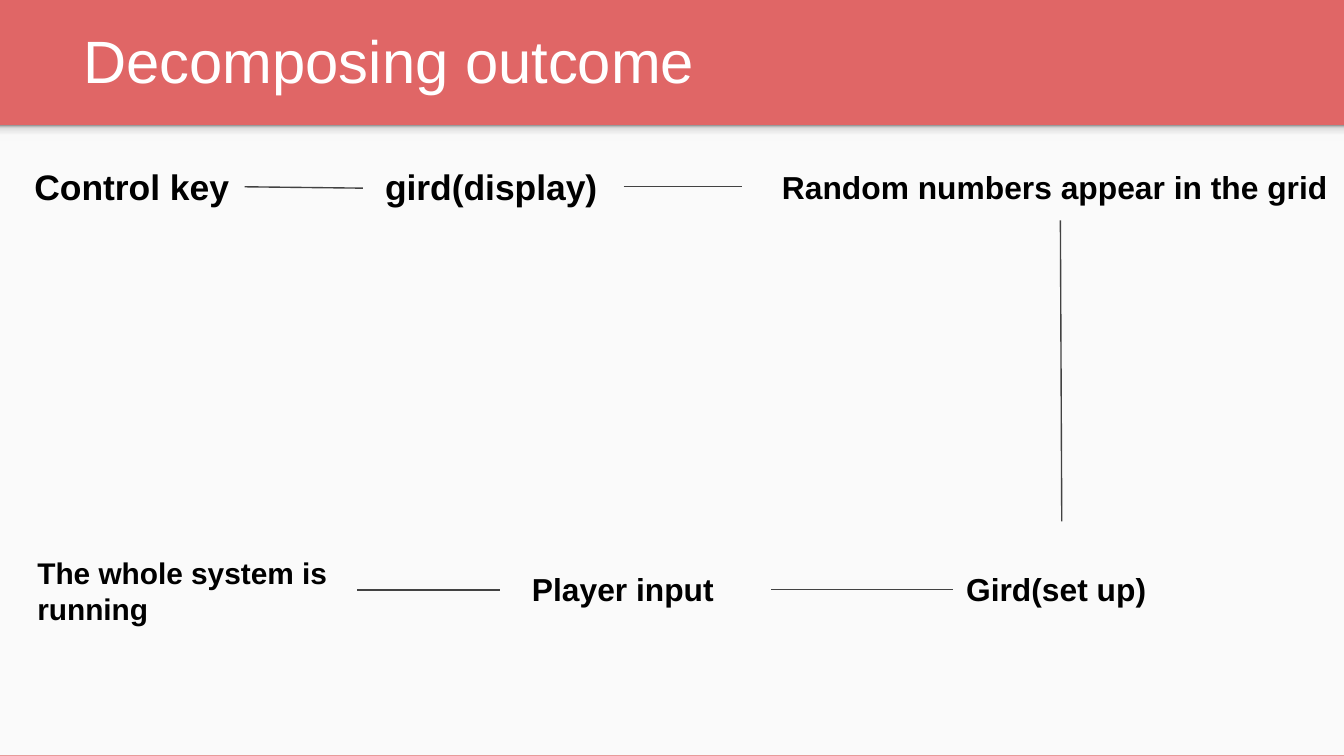
from dataclasses import dataclass

from lxml.etree import SubElement
from pptx import Presentation
from pptx.dml.color import RGBColor
from pptx.enum.shapes import MSO_CONNECTOR, MSO_SHAPE
from pptx.enum.text import MSO_ANCHOR, MSO_AUTO_SIZE, PP_ALIGN
from pptx.oxml import parse_xml
from pptx.oxml.ns import nsdecls, qn
from pptx.util import Inches, Pt


@dataclass(frozen=True)
class Theme:
    """Colours, font and type sizes of the slide."""
    banner: str = "E06666"
    panel: str = "FAFAFA"
    title: str = "FFFFFF"
    text: str = "000000"
    line: str = "424242"
    shade: tuple = ((0, "F9F9F9"), (36, "F9F9F9"), (80, "DEDEDE"), (100, "999999"))
    font: str = "Arial"
    title_size: int = 32
    large: int = 19
    medium: int = 17
    small: int = 16
    line_width: float = 0.75


THEME = Theme()
LEFT, CENTER = PP_ALIGN.LEFT, PP_ALIGN.CENTER
RIGHT_SIDE, BOTTOM_SIDE, LEFT_SIDE = 3, 2, 1

STEPS = {
    "control": ("Control key", (0.14, 1.13, 1.68, 0.52), THEME.large, CENTER),
    "display": ("gird(display)", (2.51, 1.13, 2.29, 0.52), THEME.large, CENTER),
    "random": ("Random numbers appear in the grid", (5.72, 1.15, 4.34, 0.49), THEME.medium, LEFT),
    "setup": ("Gird(set up)", (7.09, 4.14, 3.58, 0.49), THEME.medium, LEFT),
    "input": ("Player input", (3.86, 4.14, 1.88, 0.49), THEME.medium, LEFT),
    "running": ("The whole system is running", (0.18, 4.03, 2.38, 0.74), THEME.small, LEFT),
}

LINKS = (
    ((1.82, 1.39), (2.7, 1.4), ("control", RIGHT_SIDE), None),
    ((4.64, 1.39), (5.52, 1.39), None, None),
    ((7.89, 1.64), (7.9, 3.88), ("random", BOTTOM_SIDE), None),
    ((7.09, 4.39), (5.74, 4.39), ("setup", LEFT_SIDE), ("input", RIGHT_SIDE)),
    ((3.72, 4.39), (2.66, 4.39), None, None),
)


def apply(target, values):
    """Set each named attribute of the target."""
    for name, value in values.items():
        setattr(target, name, value)


def write(shape, text, size, color, bold, align, anchor):
    """Put one formatted paragraph into a shape."""
    frame = shape.text_frame
    margins = dict.fromkeys(
        ("margin_left", "margin_top", "margin_right", "margin_bottom"), Inches(0.1))
    apply(frame, {**margins, "word_wrap": True, "vertical_anchor": anchor})
    para = frame.paragraphs[0]
    para.alignment = align
    span = para.add_run()
    span.text = text
    apply(span.font, {"name": THEME.font, "size": Pt(size), "bold": bold})
    span.font.color.rgb = RGBColor.from_string(color)
    return frame


def add_panel(page, place):
    """Add a plain rectangle without line or shadow."""
    panel = page.shapes.add_shape(MSO_SHAPE.RECTANGLE, *map(Inches, place))
    panel.shadow.inherit = False
    panel.line.fill.background()
    panel.fill.solid()
    panel.fill.fore_color.rgb = RGBColor.from_string(THEME.panel)
    return panel


def shade_panel(panel):
    """Replace the solid fill with the banner's fading shade."""
    stops = "".join(
        f'<a:gs pos="{position * 1000}"><a:srgbClr val="{color}"/></a:gs>'
        for position, color in THEME.shade)
    gradient = parse_xml(
        f'<a:gradFill {nsdecls("a")} rotWithShape="1"><a:gsLst>{stops}</a:gsLst>'
        '<a:lin ang="16200000" scaled="0"/></a:gradFill>')
    properties = panel._element.spPr
    properties.replace(properties.find(qn("a:solidFill")), gradient)


def add_title(page, text, place):
    """Place and fill the title placeholder."""
    title = page.shapes.title
    apply(title, dict(zip(("left", "top", "width", "height"), map(Inches, place))))
    frame = write(title, text, THEME.title_size, THEME.title, False, LEFT, MSO_ANCHOR.BOTTOM)
    frame.auto_size = MSO_AUTO_SIZE.NONE


def add_step(page, text, place, size, align):
    """Add one bold step label."""
    box = page.shapes.add_textbox(*map(Inches, place))
    frame = write(box, text, size, THEME.text, True, align, MSO_ANCHOR.TOP)
    frame.auto_size = MSO_AUTO_SIZE.SHAPE_TO_FIT_TEXT
    return box


def add_link(page, boxes, start, end, source, target):
    """Draw a line and join its ends to the boxes it touches."""
    link = page.shapes.add_connector(MSO_CONNECTOR.STRAIGHT, *map(Inches, start + end))
    link.line.color.rgb = RGBColor.from_string(THEME.line)
    link.line.width = Pt(THEME.line_width)
    SubElement(link._element.spPr, qn("a:effectLst"))
    for joint, connect in ((source, link.begin_connect), (target, link.end_connect)):
        if joint:
            name, side = joint
            connect(boxes[name], side)


def main():
    """Build the slide and save the deck."""
    deck = Presentation()
    width = Inches(10)
    apply(deck, {"slide_width": width, "slide_height": width * 9 // 16})
    page = deck.slides.add_slide(deck.slide_layouts[5])
    page.background.fill.solid()
    page.background.fill.fore_color.rgb = RGBColor.from_string(THEME.banner)
    add_panel(page, (0, 0.94, 10, 4.68))
    shade_panel(add_panel(page, (0, 0.93, 10, 0.12)))
    add_title(page, "Decomposing outcome", (0.52, -0.03, 8.99, 0.84))
    boxes = {name: add_step(page, *step) for name, step in STEPS.items()}
    for link in LINKS:
        add_link(page, boxes, *link)
    deck.save("out.pptx")


if __name__ == "__main__":
    main()
